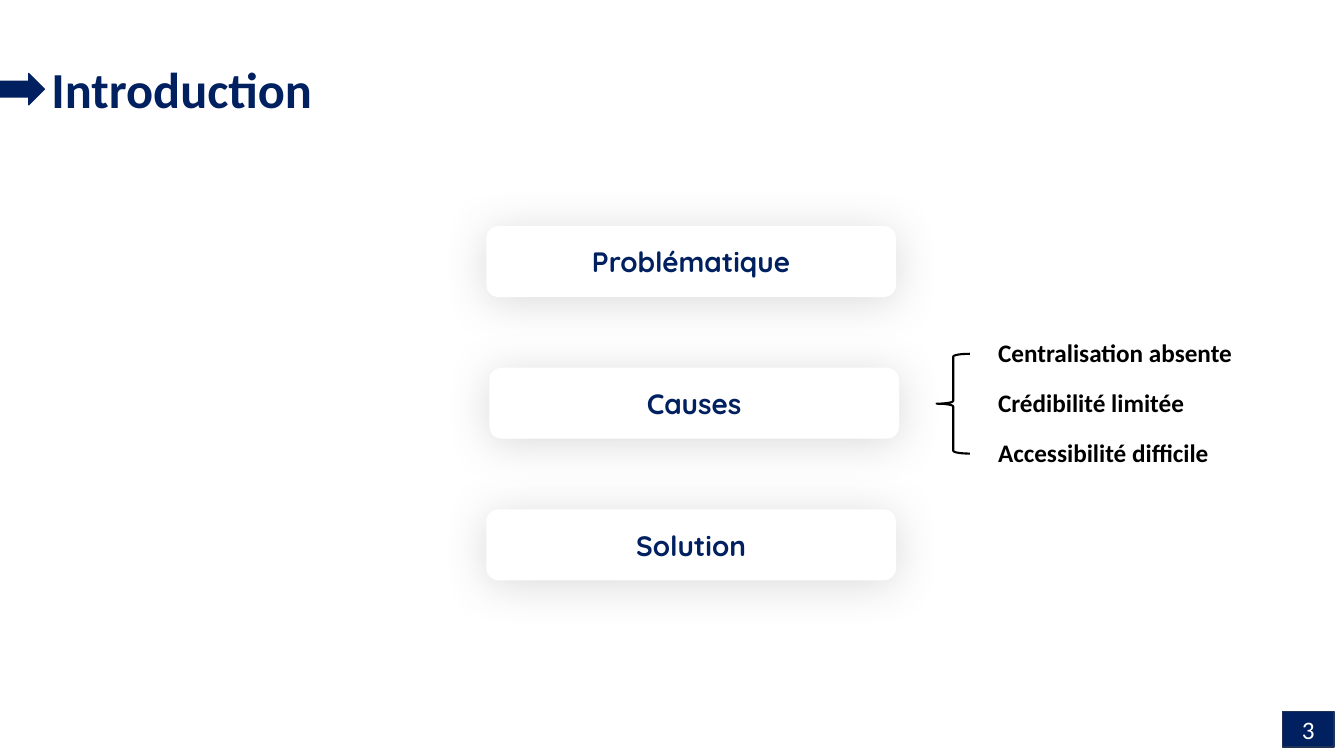
from lxml import etree
from pptx import Presentation
from pptx.dml.color import RGBColor
from pptx.enum.shapes import MSO_SHAPE as SHAPE
from pptx.enum.text import MSO_ANCHOR as ANCHOR, MSO_AUTO_SIZE as FIT, PP_ALIGN as ALIGN
from pptx.oxml.ns import qn
from pptx.util import Inches, Pt

TITLE = "Introduction"
PAGE = "3"
CARDS = [("Problématique", 4.83), ("Causes", 4.86), ("Solution", 4.83)]  # label, left
CAUSES = ["Centralisation absente", "Crédibilité limitée", "Accessibilité difficile"]
COLORS = {"navy": "002060", "edge": "1E3256", "white": "FFFFFF",
          "black": "000000", "shade": "595959"}

CARD_TOP, CARD_STEP, CARD_W, CARD_H = 2.25, 1.405, 4.05, 0.69
CAUSE_TOP, CAUSE_STEP = 3.3, 0.495


def rgb(name):
    return RGBColor.from_string(COLORS[name])


def write(sp, text, size, color, font="Calibri", bold=True,
          align=ALIGN.LEFT, anchor=ANCHOR.TOP):
    tf = sp.text_frame
    tf.word_wrap = True
    tf.vertical_anchor = anchor
    p = tf.paragraphs[0]
    p.alignment = align
    r = p.add_run()
    r.text = text
    r.font.name, r.font.size, r.font.bold = font, Pt(size), bold
    r.font.color.rgb = rgb(color)
    return tf


def add_shape(s, kind, box, fill, line, width=1):
    sp = s.shapes.add_shape(kind, *map(Inches, box))
    sp.shadow.inherit = False
    if fill:
        sp.fill.solid()
        sp.fill.fore_color.rgb = rgb(fill)
    else:
        sp.fill.background()
    sp.line.color.rgb = rgb(line)
    sp.line.width = Pt(width)
    return sp


def add_soft_shadow(sp):
    effects = sp.element.spPr.find(qn("a:effectLst"))
    shadow = etree.SubElement(effects, qn("a:outerShdw"), blurRad=str(Pt(32)),
                              dist=str(Pt(3)), dir=str(94 * 60000),
                              algn="t", rotWithShape="0")
    color = etree.SubElement(shadow, qn("a:srgbClr"), val=COLORS["shade"])
    etree.SubElement(color, qn("a:alpha"), val="22000")


def main():
    prs = Presentation()
    prs.slide_width, prs.slide_height = Inches(13.33), Inches(7.5)
    s = prs.slides.add_slide(prs.slide_layouts[5])

    title = s.shapes.title
    title.left, title.top, title.width, title.height = map(Inches, (0.18, 0.53, 10.24, 0.71))
    tf = write(title, TITLE, 36, "navy")
    tf.margin_left = Inches(0.33)
    tf.auto_size = FIT.NONE

    add_shape(s, SHAPE.RIGHT_ARROW, (0, 0.73, 0.44, 0.31), "navy", "navy")
    badge = add_shape(s, SHAPE.RECTANGLE, (12.72, 7.06, 0.51, 0.35), "navy", "edge")
    write(badge, PAGE, 18, "white", bold=False, align=ALIGN.CENTER, anchor=ANCHOR.MIDDLE)

    for i, (label, left) in enumerate(CARDS):
        box = (left, CARD_TOP + i * CARD_STEP, CARD_W, CARD_H)
        card = add_shape(s, SHAPE.ROUNDED_RECTANGLE, box, "white", "white")
        add_soft_shadow(card)
        write(card, label, 20, "navy", "Quicksand", align=ALIGN.CENTER, anchor=ANCHOR.MIDDLE)

    brace = add_shape(s, SHAPE.RIGHT_BRACE, (9.29, 3.51, 0.33, 0.99), None, "black", 1.5)
    brace.element.spPr.find(qn("a:xfrm")).set("flipH", "1")

    for i, cause in enumerate(CAUSES):
        box = (9.8, CAUSE_TOP + i * CAUSE_STEP, 2.92, 0.4)
        tf = write(s.shapes.add_textbox(*map(Inches, box)), cause, 18, "black")
        tf.auto_size = FIT.SHAPE_TO_FIT_TEXT

    prs.save("out.pptx")


if __name__ == "__main__":
    main()
